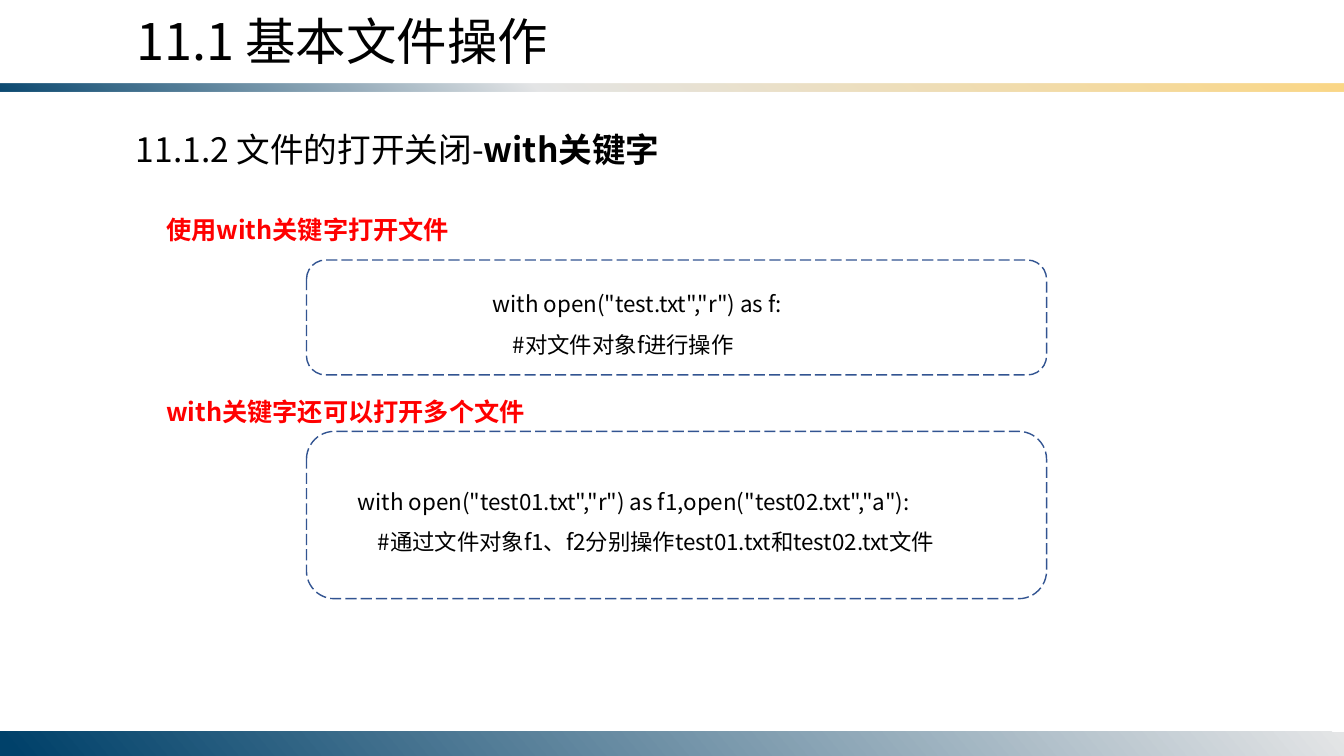
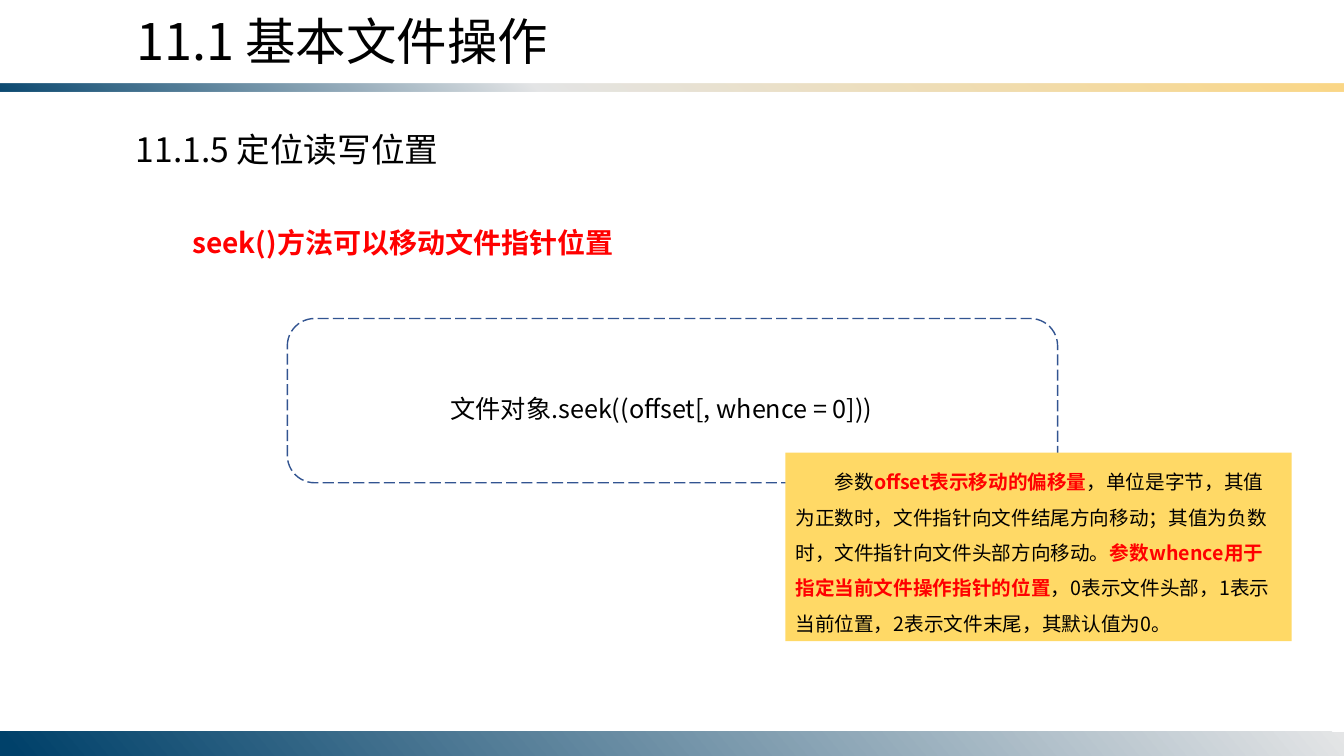
from dataclasses import dataclass

from lxml.etree import SubElement
from pptx import Presentation
from pptx.dml.color import RGBColor
from pptx.enum.dml import MSO_LINE
from pptx.enum.shapes import MSO_SHAPE as SHAPE
from pptx.enum.text import MSO_ANCHOR as ANCHOR, MSO_AUTO_SIZE as AUTO, PP_ALIGN as ALIGN
from pptx.oxml import parse_xml
from pptx.oxml.ns import nsdecls, qn
from pptx.util import Inches, Pt

BLACK = RGBColor(0x00, 0x00, 0x00)
RED = RGBColor(0xFF, 0x00, 0x00)
BORDER = RGBColor(0x32, 0x54, 0x91)
NOTE = RGBColor(0xFF, 0xD9, 0x66)
NAVY = RGBColor(0x00, 0x41, 0x6A)
SILVER = RGBColor(0xE4, 0xE5, 0xE6)
GOLD = RGBColor(0xFB, 0xD7, 0x86)

FONT = "Noto Sans CJK SC"
WIDTH, HEIGHT = 13.33, 7.5
TITLE = "11.1 基本文件操作"


@dataclass(frozen=True)
class Run:
    text: str
    color: RGBColor = BLACK
    bold: bool = False


@dataclass(frozen=True)
class Box:
    left: float
    top: float
    width: float
    height: float

    def lengths(self) -> tuple:
        return tuple(Inches(v) for v in (self.left, self.top, self.width, self.height))


@dataclass(frozen=True)
class Stop:
    percent: int
    color: RGBColor
    alpha: int = 100


@dataclass(frozen=True)
class Band:
    box: Box
    stops: tuple
    angle: int
    flipped: bool = False


@dataclass(frozen=True)
class Text:
    box: Box
    size: int
    paragraphs: tuple  # each paragraph is a tuple of runs
    spacing: float = 1.5
    indent: float = 0


BANDS = (
    Band(Box(0, 0.83, WIDTH, 0.08),
         (Stop(0, NAVY, 95), Stop(40, SILVER), Stop(100, GOLD)), 50, True),
    Band(Box(0, 7.26, WIDTH, 0.24), (Stop(0, SILVER), Stop(99, NAVY)), 140),
)


def fill_text(shape, text: Text, anchor=ANCHOR.TOP) -> None:
    tf = shape.text_frame
    tf.word_wrap = True
    tf.auto_size = AUTO.SHAPE_TO_FIT_TEXT
    tf.vertical_anchor = anchor
    for i, runs in enumerate(text.paragraphs):
        p = tf.add_paragraph() if i else tf.paragraphs[0]
        p.alignment = ALIGN.LEFT
        p.line_spacing = text.spacing
        if text.indent:
            p._p.get_or_add_pPr().set("indent", str(Inches(text.indent)))
        for run in runs:
            r = p.add_run()
            r.text = run.text
            r.font.name = FONT
            r.font.size = Pt(text.size)
            r.font.bold = run.bold
            r.font.color.rgb = run.color
            SubElement(r._r.get_or_add_rPr(), qn("a:ea")).set("typeface", FONT)


def add_text(slide, text: Text) -> None:
    fill_text(slide.shapes.add_textbox(*text.box.lengths()), text)


def add_frame(slide, box: Box) -> None:
    """Dashed rounded frame around a code sample."""
    sp = slide.shapes.add_shape(SHAPE.ROUNDED_RECTANGLE, *box.lengths())
    sp.shadow.inherit = False
    sp.fill.background()
    sp.line.color.rgb = BORDER
    sp.line.width = Pt(1)
    sp.line.dash_style = MSO_LINE.LONG_DASH


def add_note(slide, text: Text) -> None:
    sp = slide.shapes.add_shape(SHAPE.RECTANGLE, *text.box.lengths())
    sp.shadow.inherit = False
    sp.fill.solid()
    sp.fill.fore_color.rgb = NOTE
    sp.line.fill.background()
    fill_text(sp, text, ANCHOR.MIDDLE)


def gradient(band: Band):
    stops = "".join(
        f'<a:gs pos="{s.percent * 1000}"><a:srgbClr val="{s.color}">'
        f'<a:alpha val="{s.alpha * 1000}"/></a:srgbClr></a:gs>' for s in band.stops)
    return parse_xml(
        f'<a:gradFill {nsdecls("a")} rotWithShape="1"><a:gsLst>{stops}</a:gsLst>'
        f'<a:lin ang="{band.angle * 60000}" scaled="0"/></a:gradFill>')


def move_bands_to_layout(slide) -> None:
    """Draw the bands once and hand them to the slide's layout."""
    for band in BANDS:
        sp = slide.shapes.add_shape(SHAPE.RECTANGLE, *band.box.lengths())
        sp.shadow.inherit = False
        sp.line.fill.background()
        sp.fill.gradient()
        sp_pr = sp.element.spPr
        sp_pr.replace(sp_pr.find(qn("a:gradFill")), gradient(band))
        if band.flipped:
            sp_pr.find(qn("a:xfrm")).set("flipV", "1")
        slide.slide_layout.shapes.element.append(sp.element)


def add_slide(prs, subtitle: Text):
    slide = prs.slides.add_slide(prs.slide_layouts.get_by_name("Title Only"))
    title = Text(Box(1.25, 0.05, 6.12, 0.71), 36, ((Run(TITLE),),), 1)
    sp = slide.shapes.title
    sp.left, sp.top, sp.width, sp.height = title.box.lengths()
    fill_text(sp, title)
    add_text(slide, subtitle)
    return slide


def build_with_slide(prs):
    slide = add_slide(prs, Text(
        Box(1.25, 1.23, 5.42, 0.5), 24,
        ((Run("11.1.2 文件的打开关闭-"), Run("with关键字", bold=True)),), 1))
    # Red headings
    for top, heading in ((1.93, "使用with关键字打开文件"),
                         (3.73, "with关键字还可以打开多个文件")):
        add_text(slide, Text(Box(1.05, top, 10.8, 0.55), 18,
                             ((Run(heading, RED, True),),), indent=0.5))
    # Framed code samples
    samples = (
        (Box(3.04, 2.58, 7.34, 1.14), Box(4.79, 2.7, 3.32, 0.91),
         ('with open("test.txt","r") as f:',
          "    #对文件对象f进行操作")),
        (Box(3.04, 4.28, 7.34, 1.66), Box(3.45, 4.66, 6.52, 0.91),
         ('with open("test01.txt","r") as f1,open("test02.txt","a"):',
          "    #通过文件对象f1、f2分别操作test01.txt和test02.txt文件")),
    )
    for frame, box, lines in samples:
        add_frame(slide, frame)
        add_text(slide, Text(box, 16, tuple((Run(line),) for line in lines)))
    return slide


def build_seek_slide(prs):
    slide = add_slide(prs, Text(Box(1.25, 1.23, 5.16, 0.5), 24,
                                ((Run("11.1.5 定位读写位置"),),), 1))
    add_text(slide, Text(Box(1.25, 2.02, 5.03, 0.6), 20,
                         ((Run("seek()方法可以移动文件指针位置", RED, True),),), indent=0.56))
    # Framed call signature
    add_frame(slide, Box(2.85, 3.16, 7.64, 1.63))
    add_text(slide, Text(Box(4.37, 3.7, 4.58, 0.55), 18,
                         ((Run("文件对象.seek((offset[, whence = 0]))"),),)))
    # Parameter note
    add_note(slide, Text(Box(7.79, 4.49, 5.02, 1.87), 14, ((
        Run("参数"),
        Run("offset表示移动的偏移量", RED, True),
        Run("，单位是字节，其值为正数时，文件指针向文件结尾方向移动；"
            "其值为负数时，文件指针向文件头部方向移动。"),
        Run("参数whence用于指定当前文件操作指针的位置", RED, True),
        Run("，0表示文件头部，1表示当前位置，2表示文件末尾，其默认值为0。"),
    ),), indent=0.39))
    return slide


def main() -> None:
    prs = Presentation()
    prs.slide_width, prs.slide_height = Inches(WIDTH), Inches(HEIGHT)
    move_bands_to_layout(build_with_slide(prs))
    build_seek_slide(prs)
    prs.save("out.pptx")


if __name__ == "__main__":
    main()
